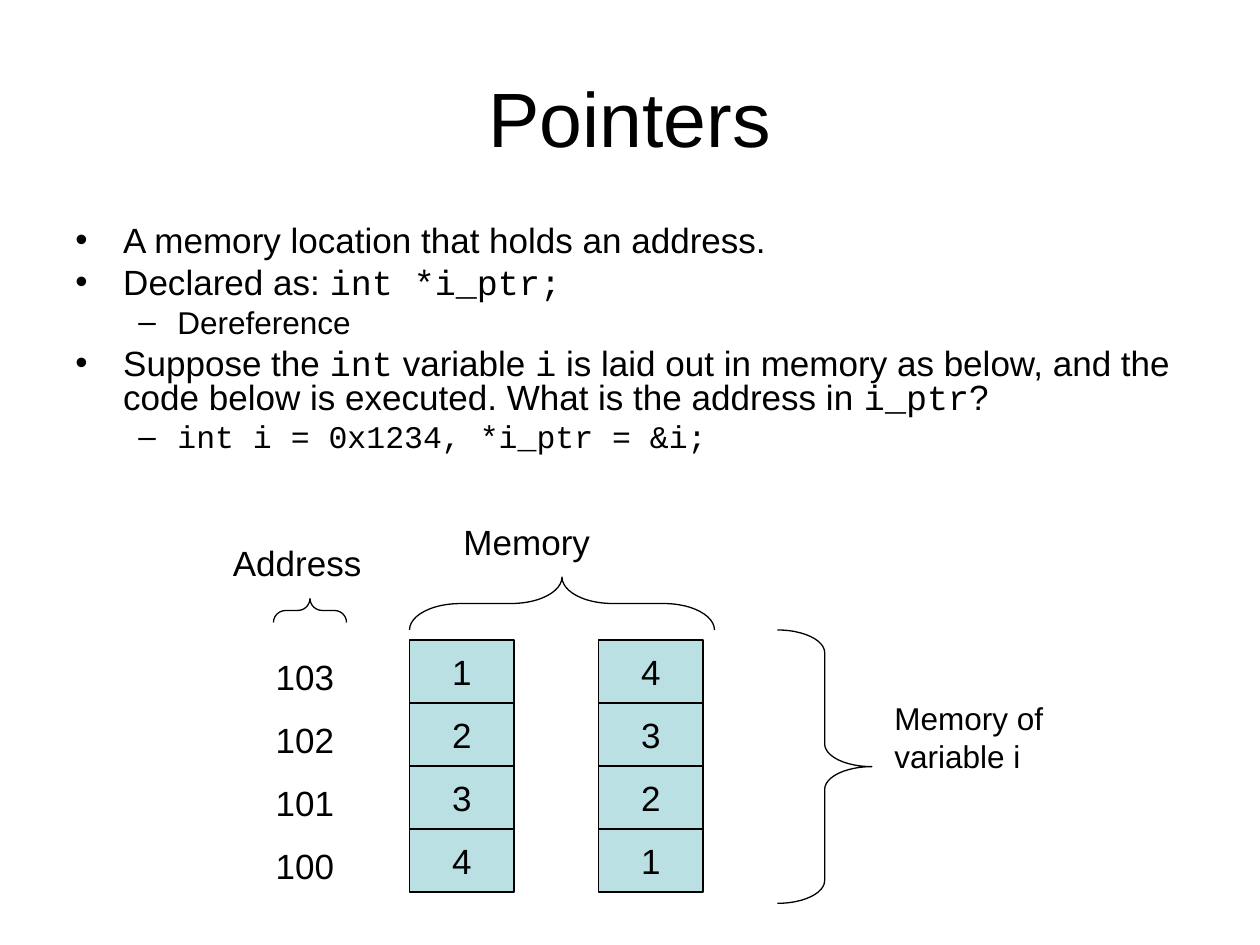
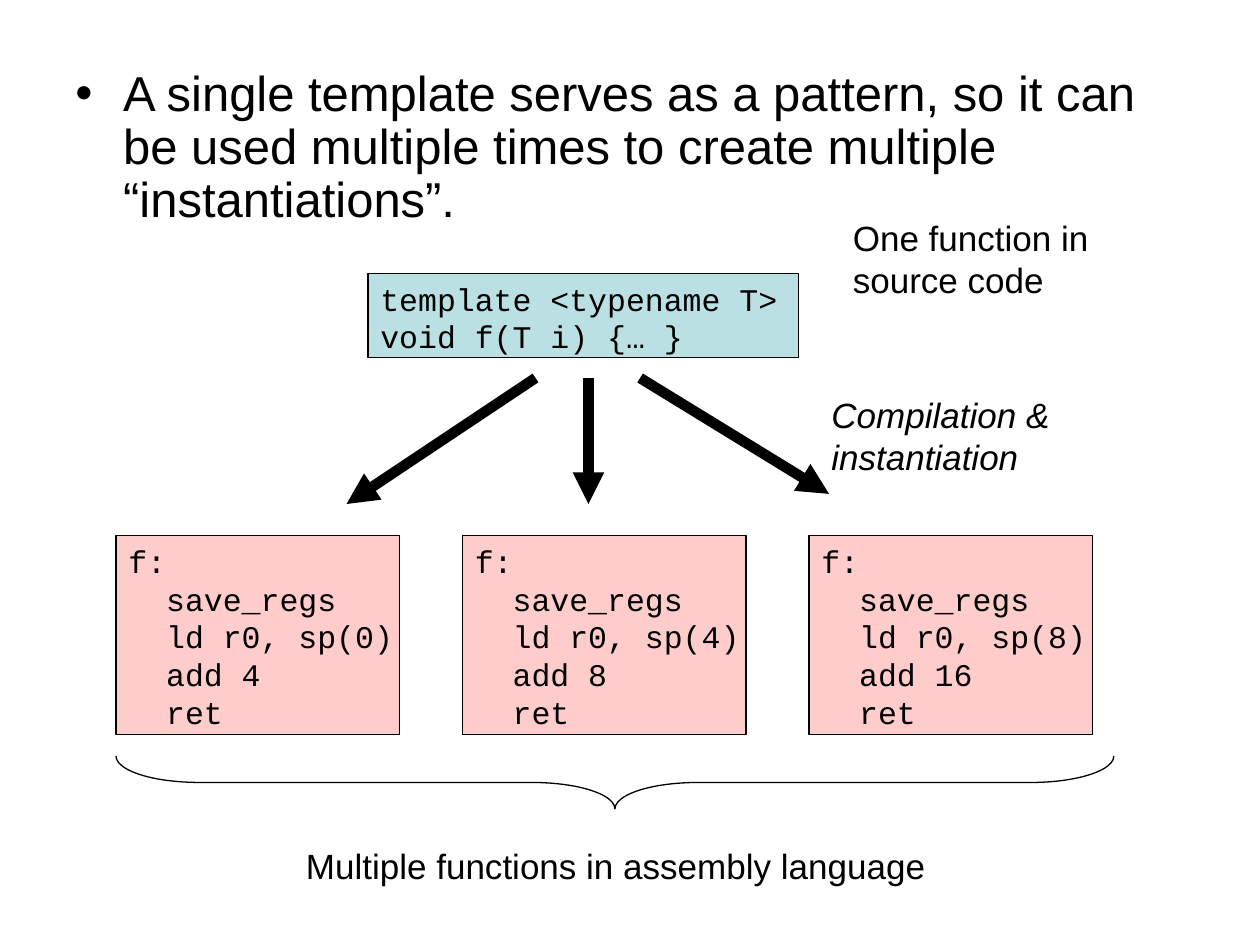
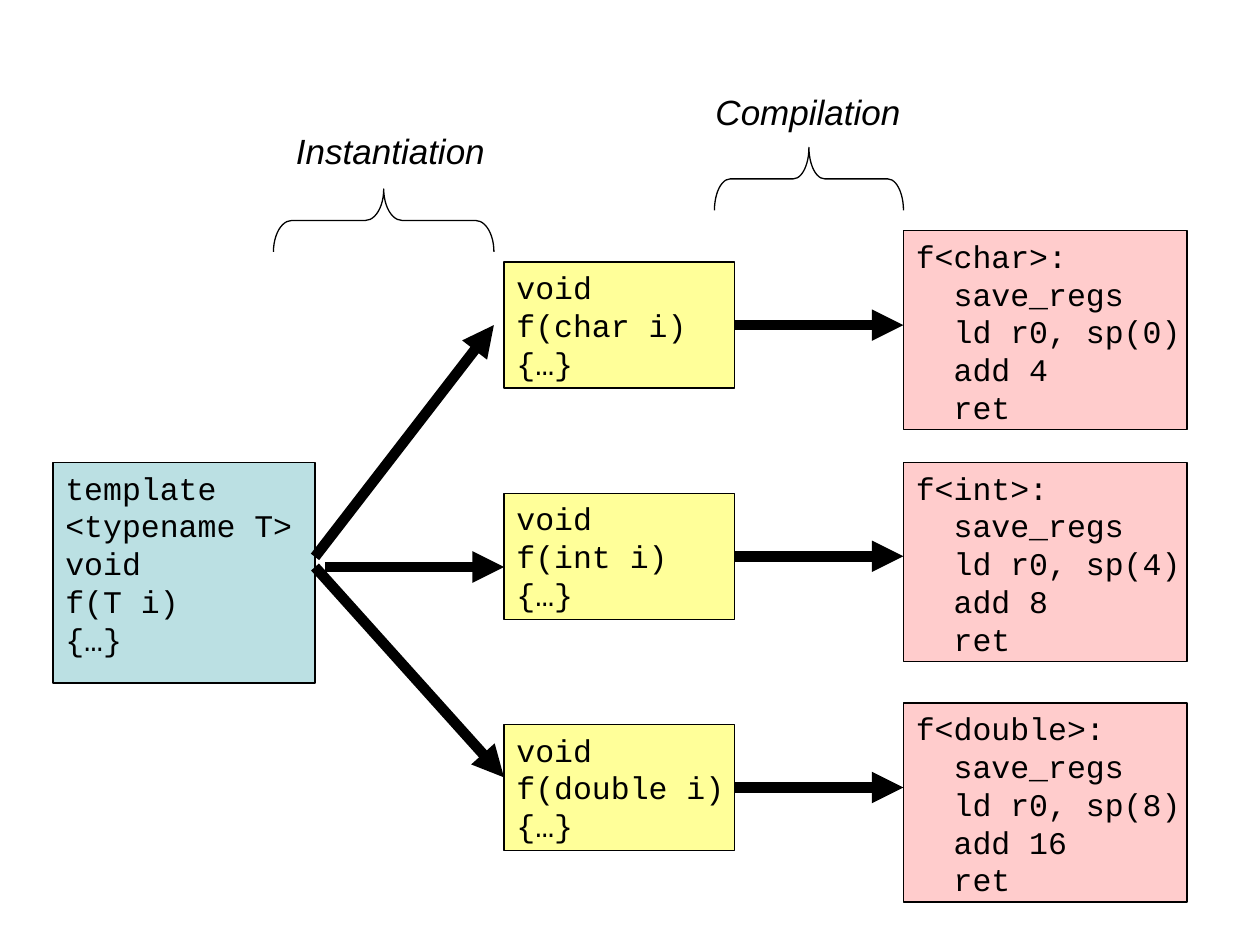
from dataclasses import dataclass

from pptx import Presentation
from pptx.dml.color import RGBColor
from pptx.enum.shapes import MSO_CONNECTOR, MSO_SHAPE
from pptx.enum.text import MSO_ANCHOR, MSO_AUTO_SIZE, PP_ALIGN
from pptx.oxml.ns import qn
from pptx.util import Inches, Pt
from lxml import etree

LEFT, CENTER, RIGHT = PP_ALIGN.LEFT, PP_ALIGN.CENTER, PP_ALIGN.RIGHT
TOP, MIDDLE = MSO_ANCHOR.TOP, MSO_ANCHOR.MIDDLE
RECTANGLE = MSO_SHAPE.RECTANGLE
LEFT_BRACE, RIGHT_BRACE = MSO_SHAPE.LEFT_BRACE, MSO_SHAPE.RIGHT_BRACE
STRAIGHT = MSO_CONNECTOR.STRAIGHT
FIT_SHAPE = MSO_AUTO_SIZE.SHAPE_TO_FIT_TEXT


@dataclass(frozen=True)
class Theme:
    ink: RGBColor = RGBColor(0x00, 0x00, 0x00)
    source: RGBColor = RGBColor(0xBB, 0xE0, 0xE3)
    instance: RGBColor = RGBColor(0xFF, 0xFF, 0x99)
    assembly: RGBColor = RGBColor(0xFF, 0xCC, 0xCC)
    sans: str = "Arial"
    mono: str = "Courier New"
    title: int = 44
    lead: int = 28
    text: int = 20
    small: int = 18
    thin: float = 0.75
    thick: float = 6


@dataclass(frozen=True)
class Box:
    left: float
    top: float
    width: float
    height: float

    @property
    def right(self):
        return self.left + self.width

    @property
    def middle(self):
        return self.top + self.height / 2

    def lengths(self):
        return [Inches(n) for n in (self.left, self.top, self.width, self.height)]


@dataclass(frozen=True)
class BulletLevel:
    mark: str
    margin: float
    hanging: float


THEME = Theme()
BULLETS = (BulletLevel("•", 0.38, 0.38), BulletLevel("–", 0.81, 0.31))
ASSEMBLY_SIZE = (2.25, 1.58)
ASSEMBLY_OPERANDS = ((0, 4), (4, 8), (8, 16))


def add_run(paragraph, text, size, font=THEME.sans, italic=False):
    run = paragraph.add_run()
    run.text = text
    run.font.name = font
    run.font.size = Pt(size)
    run.font.italic = italic
    run.font.color.rgb = THEME.ink


def add_text_frame(slide, box):
    frame = slide.shapes.add_textbox(*box.lengths()).text_frame
    frame.word_wrap = True
    return frame


def add_title(slide, text):
    frame = add_text_frame(slide, Box(0.5, 0.3, 9, 1.25))
    frame.vertical_anchor = MIDDLE
    frame.paragraphs[0].alignment = CENTER
    add_run(frame.paragraphs[0], text, THEME.title)


def add_label(slide, box, text, size=THEME.text, italic=False, alignment=LEFT):
    frame = add_text_frame(slide, box)
    frame.auto_size = FIT_SHAPE
    frame.paragraphs[0].alignment = alignment
    add_run(frame.paragraphs[0], text, size, italic=italic)


def set_bullet(paragraph, level):
    bullet = BULLETS[level]
    properties = paragraph._p.get_or_add_pPr()
    properties.set("marL", str(Inches(bullet.margin)))
    properties.set("indent", str(-Inches(bullet.hanging)))
    font = etree.SubElement(properties, qn("a:buFont"))
    font.set("typeface", THEME.sans)
    etree.SubElement(properties, qn("a:buChar")).set("char", bullet.mark)


def add_bullets(slide, box, items, line_spacing):
    """Each item is (level, size, pieces); every second piece is code."""
    frame = add_text_frame(slide, box)
    for index, (level, size, pieces) in enumerate(items):
        paragraph = frame.add_paragraph() if index else frame.paragraphs[0]
        paragraph.line_spacing = line_spacing
        paragraph.space_before = Pt(size / 4)
        set_bullet(paragraph, level)
        for position, piece in enumerate(pieces):
            if piece:
                add_run(paragraph, piece, size, THEME.mono if position % 2 else THEME.sans)


def add_panel(slide, box, fill):
    panel = slide.shapes.add_shape(RECTANGLE, *box.lengths())
    panel.shadow.inherit = False
    panel.fill.solid()
    panel.fill.fore_color.rgb = fill
    panel.line.color.rgb = THEME.ink
    panel.line.width = Pt(THEME.thin)
    panel.text_frame.word_wrap = False
    return panel.text_frame


def add_code(slide, box, fill, lines):
    frame = add_panel(slide, box, fill)
    frame.vertical_anchor = TOP
    paragraph = frame.paragraphs[0]
    paragraph.alignment = LEFT
    for index, line in enumerate(lines):
        if index:
            paragraph.add_line_break()
        add_run(paragraph, line, THEME.small, THEME.mono)


def add_assembly(slide, left, top, name, operands):
    offset, increment = operands
    lines = (f"{name}:", "  save_regs", f"  ld r0, sp({offset})", f"  add {increment}", "  ret")
    add_code(slide, Box(left, top, *ASSEMBLY_SIZE), THEME.assembly, lines)


def add_brace(slide, box, direction, curve=1 / 12):
    """Fill the box with a brace whose tip points up, down or right."""
    kind = LEFT_BRACE if direction == "up" else RIGHT_BRACE
    depth, length = box.width, box.height
    rotation = 0
    if direction != "right":
        depth, length = length, depth
        rotation = 90
    center = box.left + box.width / 2
    unturned = Box(center - depth / 2, box.middle - length / 2, depth, length)
    brace = slide.shapes.add_shape(kind, *unturned.lengths())
    brace.rotation = rotation
    brace.adjustments[0] = curve * length / depth
    brace.shadow.inherit = False
    brace.fill.background()
    brace.line.color.rgb = THEME.ink
    brace.line.width = Pt(THEME.thin)


def add_arrow(slide, start, end):
    arrow = slide.shapes.add_connector(STRAIGHT, *[Inches(n) for n in (*start, *end)])
    arrow.line.color.rgb = THEME.ink
    arrow.line.width = Pt(THEME.thick)
    properties = arrow._element.spPr
    etree.SubElement(properties.find(qn("a:ln")), qn("a:tailEnd")).set("type", "triangle")
    etree.SubElement(properties, qn("a:effectLst"))


def add_memory_column(slide, box, values):
    height = box.height / len(values)
    for row, value in enumerate(values):
        cell = Box(box.left, box.top + row * height, box.width, height)
        frame = add_panel(slide, cell, THEME.source)
        frame.vertical_anchor = MIDDLE
        frame.paragraphs[0].alignment = CENTER
        add_run(frame.paragraphs[0], value, THEME.text)


def add_memory_diagram(slide, box):
    for left, values in ((1.5, "1234"), (3, "4321")):
        add_memory_column(slide, Box(box.left + left, box.top + 1, 0.83, 2), values)
    for row, address in enumerate(("103", "102", "101", "100")):
        label = Box(box.left + 0.08, box.top + 1.07 + row * 0.5, 0.92, 0.44)
        add_label(slide, label, address, alignment=RIGHT)
    add_label(slide, Box(box.left, box.top + 0.17, 1.33, 0.44), "Address")
    add_brace(slide, Box(box.left + 0.42, box.top + 0.67, 0.58, 0.19), "up", 1 / 6)
    add_label(slide, Box(box.left + 1.83, box.top, 1.33, 0.44), "Memory")
    add_brace(slide, Box(box.left + 1.5, box.top + 0.5, 2.42, 0.42), "up", 1 / 6)
    add_brace(slide, Box(box.left + 4.42, box.top + 0.92, 0.75, 2.17), "right")
    caption = Box(box.left + 5.25, box.top + 1.42, 1.58, 0.7)
    add_label(slide, caption, "Memory of variable i", THEME.small)


def build_pointers(slide):
    add_title(slide, "Pointers")
    question = (
        "Suppose the ", "int", " variable ", "i",
        " is laid out in memory as below, and the code below is executed."
        " What is the address in ", "i_ptr", "?",
    )
    items = (
        (0, THEME.text, ("A memory location that holds an address.",)),
        (0, THEME.text, ("Declared as: ", "int *i_ptr;")),
        (1, THEME.small, ("Dereference",)),
        (0, THEME.text, question),
        (1, THEME.small, ("", "int i = 0x1234, *i_ptr = &i;")),
    )
    add_bullets(slide, Box(0.5, 1.75, 9, 2.42), items, 0.8)
    add_memory_diagram(slide, Box(1.75, 4.08, 6.83, 3.09))


def add_compilation_tree(slide, box):
    template = Box(box.left + 2, box.top + 0.5, 3.42, 0.67)
    add_code(slide, template, THEME.source, ("template <typename T>", "void f(T i) {… }"))
    add_label(slide, Box(box.left + 5.75, box.top, 2.08, 0.77), "One function in source code")
    add_label(slide, Box(box.left + 5.58, box.top + 1.4, 2.17, 0.77),
              "Compilation & instantiation", italic=True)
    for start, end, drop in ((3.33, 1.83, 1), (3.75, 3.75, 1), (4.16, 5.66, 0.92)):
        top = box.top + 1.33
        add_arrow(slide, (box.left + start, top), (box.left + end, top + drop))
    for column, operands in enumerate(ASSEMBLY_OPERANDS):
        add_assembly(slide, box.left + column * 2.75, box.top + 2.58, "f", operands)
    add_brace(slide, Box(box.left, box.top + 4.33, 7.92, 0.42), "down")
    add_label(slide, Box(box.left + 1.41, box.top + 4.98, 5.17, 0.44),
              "Multiple functions in assembly language")


def build_single_template(slide):
    sentence = ("A single template serves as a pattern, so it can be used multiple times"
                " to create multiple “instantiations”.")
    add_bullets(slide, Box(0.5, 0.5, 9, 1.42), ((0, THEME.lead, (sentence,)),), 0.9)
    add_compilation_tree(slide, Box(0.92, 1.67, 7.92, 5.42))


def add_stage(slide, label, brace, text):
    add_label(slide, label, text, italic=True)
    add_brace(slide, brace, "up")


def add_pipeline(slide, box):
    template = Box(box.left, box.top + 3, 2.08, 1.75)
    add_code(slide, template, THEME.source,
             ("template", "<typename T>", "void", "f(T i)", "{…}"))
    assembly_tops = (1.16, 3, 4.91)
    for row, name in enumerate(("char", "int", "double")):
        instance = Box(box.left + 3.58, box.top + 1.41 + row * 1.835, 1.83, 1)
        assembly_left = box.left + 6.75
        add_code(slide, instance, THEME.instance, ("void", f"f({name} i)", "{…}"))
        add_assembly(slide, assembly_left, box.top + assembly_tops[row],
                     f"f<{name}>", ASSEMBLY_OPERANDS[row])
        add_arrow(slide, (instance.right, instance.middle), (assembly_left, instance.middle))
    branches = (((2.08, 3.75), (3.5, 1.91)),
                ((2.16, 3.83), (3.58, 3.83)),
                ((2.08, 3.83), (3.58, 5.5)))
    for branch in branches:
        add_arrow(slide, *[(box.left + x, box.top + y) for x, y in branch])
    add_stage(slide, Box(box.left + 1.83, box.top + 0.31, 1.75, 0.44),
              Box(box.left + 1.75, box.top + 0.83, 1.75, 0.5), "Instantiation")
    add_stage(slide, Box(box.left + 5.16, box.top, 1.75, 0.44),
              Box(box.left + 5.25, box.top + 0.5, 1.5, 0.5), "Compilation")


def build_instantiations(slide):
    add_pipeline(slide, Box(0.42, 0.67, 9, 6.49))


def main():
    presentation = Presentation()
    presentation.slide_width = Inches(10)
    presentation.slide_height = Inches(7.5)
    blank = presentation.slide_layouts[6]
    for build in (build_pointers, build_single_template, build_instantiations):
        build(presentation.slides.add_slide(blank))
    presentation.save("out.pptx")


if __name__ == "__main__":
    main()
